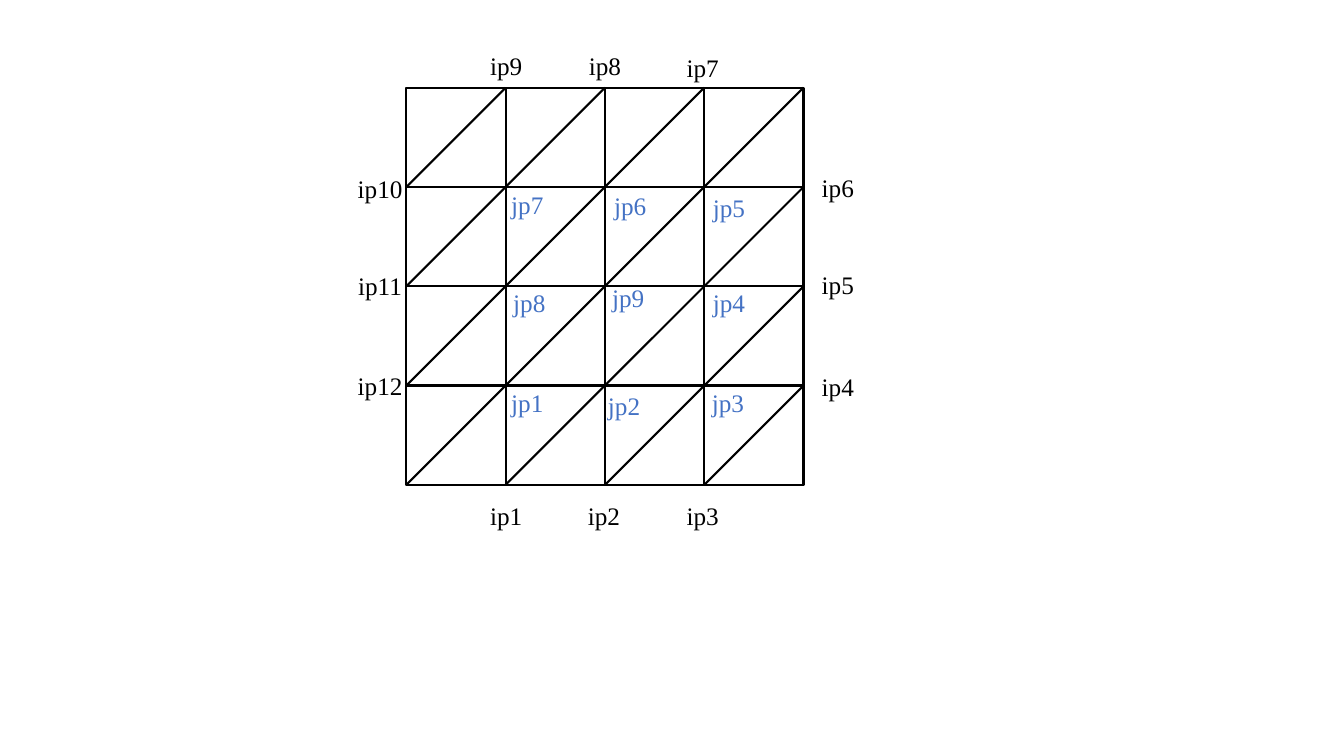
"""Draw a triangulated square mesh with numbered boundary and interior nodes."""
from lxml.etree import SubElement
from pptx import Presentation
from pptx.dml.color import RGBColor
from pptx.enum.shapes import MSO_CONNECTOR as Connector, MSO_SHAPE as Shape
from pptx.enum.text import MSO_AUTO_SIZE as AutoSize, PP_ALIGN as Align
from pptx.oxml.ns import qn
from pptx.util import Inches, Pt

BLACK, WHITE, BLUE = "000000", "FFFFFF", "4472C4"
BOUNDARY_NODES = {
    "ip1": (4.64, 4.91), "ip2": (5.61, 4.91), "ip3": (6.59, 4.91),
    "ip4": (7.93, 3.63), "ip5": (7.93, 2.62), "ip6": (7.93, 1.66),
    "ip7": (6.59, 0.47), "ip8": (5.62, 0.45), "ip9": (4.64, 0.45),
    "ip10": (3.39, 1.67), "ip11": (3.39, 2.63), "ip12": (3.39, 3.62),
}
INTERIOR_NODES = {
    "jp1": (4.85, 3.79), "jp2": (5.81, 3.82), "jp3": (6.84, 3.79),
    "jp4": (6.85, 2.8), "jp5": (6.85, 1.86), "jp6": (5.87, 1.84),
    "jp7": (4.85, 1.83), "jp8": (4.87, 2.8), "jp9": (5.85, 2.75),
}
CELLS = 4
LEFT, TOP, SIDE = 4.03, 0.87, 3.94
LABEL_WIDTH, LABEL_HEIGHT = 0.76, 0.4
HALF = CELLS // 2
SIDE_MIDDLES = {(HALF, 0): 0, (0, HALF): 1, (HALF, CELLS): 2, (CELLS, HALF): 3}


def color(value):
    return RGBColor.from_string(value)


def grid_point(node):
    column, row = node
    step = SIDE / CELLS
    return Inches(LEFT + column * step), Inches(TOP + row * step)


def add_edge(mesh, square, start, end):
    edge = mesh.shapes.add_connector(
        Connector.STRAIGHT, *grid_point(start), *grid_point(end))
    edge.line.color.rgb = color(BLACK)
    edge.line.width = Pt(1.5)
    SubElement(edge._element.spPr, qn("a:effectLst"))
    if start in SIDE_MIDDLES:
        edge.begin_connect(square, SIDE_MIDDLES[start])
    if end in SIDE_MIDDLES:
        edge.end_connect(square, SIDE_MIDDLES[end])


def add_label(mesh, text, left, top, *, fill=BLACK, size=18, font="Times New Roman"):
    label = mesh.shapes.add_textbox(
        Inches(left), Inches(top), Inches(LABEL_WIDTH), Inches(LABEL_HEIGHT))
    frame = label.text_frame
    frame.word_wrap = True
    frame.auto_size = AutoSize.SHAPE_TO_FIT_TEXT
    paragraph = frame.paragraphs[0]
    paragraph.alignment = Align.CENTER
    run = paragraph.add_run()
    run.text = text
    run.font.size = Pt(size)
    run.font.name = font
    run.font.color.rgb = color(fill)


def main():
    deck = Presentation()
    deck.slide_width, deck.slide_height = Inches(13.33), Inches(7.5)
    slide = deck.slides.add_slide(deck.slide_layouts[6])
    mesh = slide.shapes.add_group_shape()

    square = mesh.shapes.add_shape(
        Shape.RECTANGLE, Inches(LEFT), Inches(TOP), Inches(SIDE), Inches(SIDE))
    square.shadow.inherit = False
    square.fill.solid()
    square.fill.fore_color.rgb = color(WHITE)
    square.line.color.rgb = color(BLACK)
    square.line.width = Pt(1.5)

    for index in range(1, CELLS):
        add_edge(mesh, square, (0, index), (CELLS, index))
        add_edge(mesh, square, (index, 0), (index, CELLS))
    for diagonal in range(1, 2 * CELLS):
        near, far = max(0, diagonal - CELLS), min(diagonal, CELLS)
        add_edge(mesh, square, (near, far), (far, near))

    for nodes, fill in ((BOUNDARY_NODES, BLACK), (INTERIOR_NODES, BLUE)):
        for name, (left, top) in nodes.items():
            add_label(mesh, name, left, top, fill=fill)

    deck.save("out.pptx")


if __name__ == "__main__":
    main()
